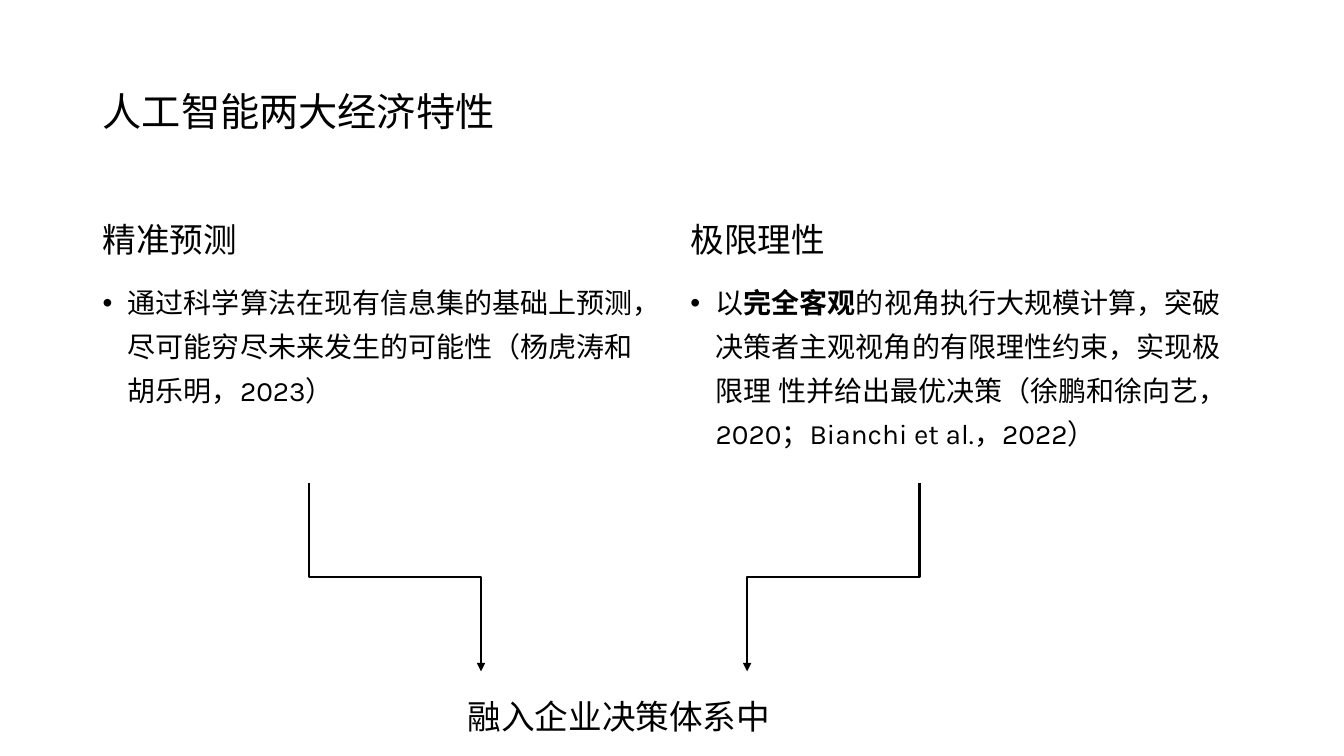
from lxml import etree
from pptx import Presentation
from pptx.dml.color import RGBColor
from pptx.enum.shapes import MSO_CONNECTOR
from pptx.enum.text import MSO_ANCHOR, MSO_AUTO_SIZE, PP_ALIGN
from pptx.oxml.ns import qn
from pptx.util import Inches, Pt

COLORS = {"ink": "000000", "paper": "FFFFFF"}
INK = RGBColor.from_string(COLORS["ink"])


def write(paragraph, text, size=24, spacing=1.0, before=0, bold_part=None, bullet=False):
    if bullet:
        properties = paragraph._p.get_or_add_pPr()
        properties.set("marL", str(Inches(0.25)))
        properties.set("indent", str(Inches(-0.25)))
        etree.SubElement(properties, qn("a:buFont")).set("typeface", "Arial")
        etree.SubElement(properties, qn("a:buChar")).set("char", "•")
    paragraph.alignment = PP_ALIGN.LEFT
    paragraph.line_spacing = spacing
    paragraph.space_before = Pt(before)
    lead, part, rest = text.partition(bold_part) if bold_part else (text, "", "")
    for piece in filter(None, (lead, part, rest)):
        run = paragraph.add_run()
        run.text = piece
        run.font.name = "Karla"
        run.font.size = Pt(size)
        run.font.bold = piece == bold_part
        run.font.color.rgb = INK


presentation = Presentation()
presentation.slide_width = Inches(13.33)
presentation.slide_height = Inches(7.5)
slide = presentation.slides.add_slide(presentation.slide_layouts[5])
slide.background.fill.solid()
slide.background.fill.fore_color.rgb = RGBColor.from_string(COLORS["paper"])

heading = slide.shapes.title
heading.left, heading.top = Inches(0.92), Inches(0.4)
heading.width, heading.height = Inches(11.5), Inches(1.45)
heading.text_frame.vertical_anchor = MSO_ANCHOR.MIDDLE
heading.text_frame.auto_size = MSO_AUTO_SIZE.NONE
write(heading.text_frame.paragraphs[0], "人工智能两大经济特性", size=28, spacing=0.9)

traits = [
    (0.92, "精准预测",
     "通过科学算法在现有信息集的基础上预测，尽可能穷尽未来发生的可能性（杨虎涛和胡乐明，2023）",
     None),
    (6.75, "极限理性",
     "以完全客观的视角执行大规模计算，突破决策者主观视角的有限理性约束，"
     "实现极限理 性并给出最优决策（徐鹏和徐向艺，2020；Bianchi et al.，2022）",
     "完全客观"),
]
for left, trait, explanation, emphasis in traits:
    column = slide.shapes.add_textbox(Inches(left), Inches(2), Inches(5.67), Inches(4.76)).text_frame
    column.word_wrap = True
    write(column.paragraphs[0], trait, spacing=1.3)
    write(column.add_paragraph(), explanation, size=20, spacing=1.3, before=12,
          bold_part=emphasis, bullet=True)

for start, end, turn in [(4.85, 2.98, 270), (7.33, 9.2, 90)]:
    arrow = slide.shapes.add_connector(
        MSO_CONNECTOR.ELBOW, Inches(start), Inches(4.87), Inches(end), Inches(6.58))
    arrow.line.color.rgb = INK
    arrow.line.width = Pt(1.5)
    outline = arrow.line._get_or_add_ln()
    etree.SubElement(outline, qn("a:tailEnd")).set("type", "triangle")
    shape_properties = arrow._element.spPr
    shape_properties.find(qn("a:xfrm")).set("rot", str(turn * 60000))
    etree.SubElement(shape_properties, qn("a:effectLst"))

conclusion = slide.shapes.add_textbox(Inches(4.54), Inches(6.85), Inches(3.27), Inches(0.5)).text_frame
conclusion.word_wrap = True
conclusion.auto_size = MSO_AUTO_SIZE.SHAPE_TO_FIT_TEXT
write(conclusion.paragraphs[0], "融入企业决策体系中")

presentation.save("out.pptx")
